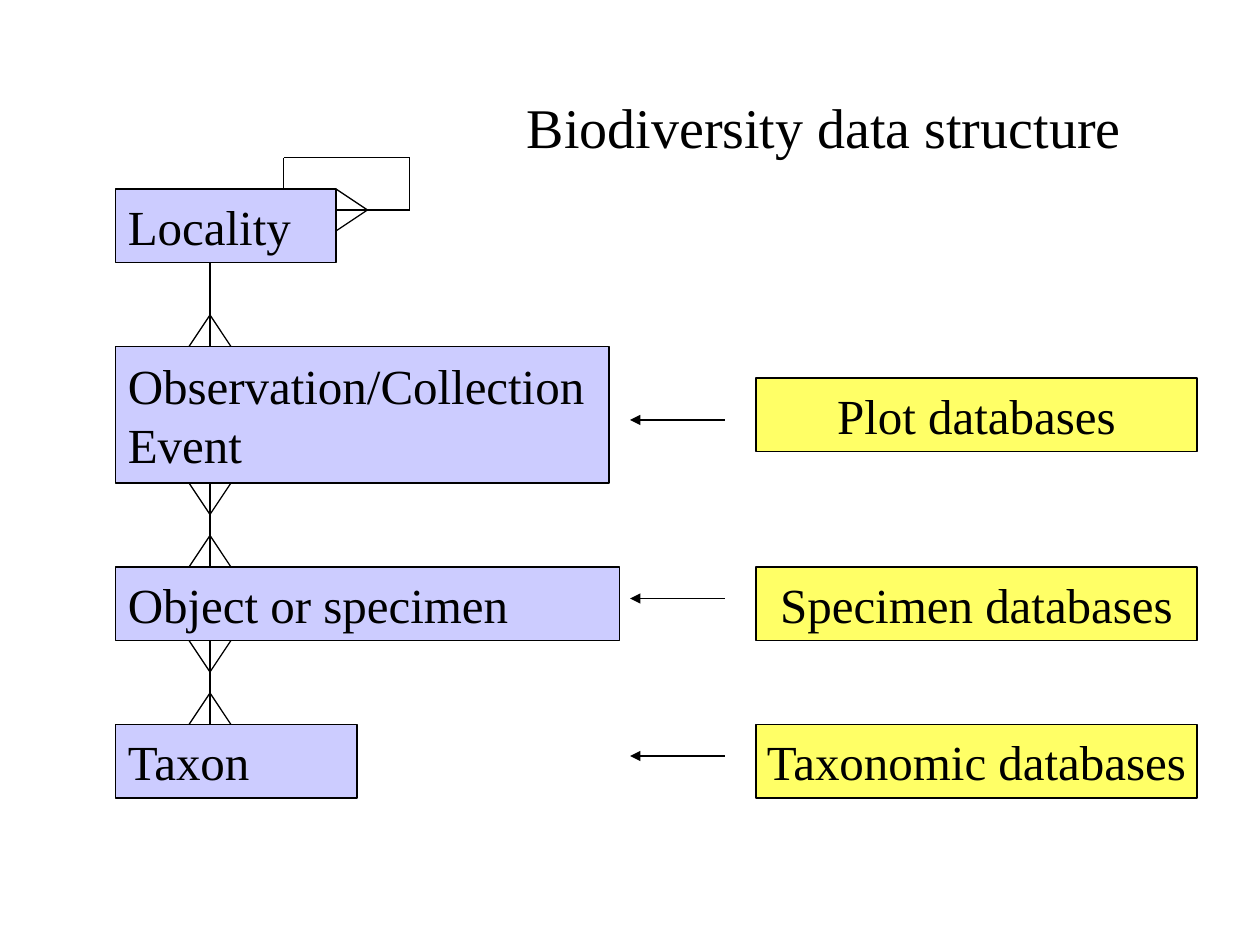
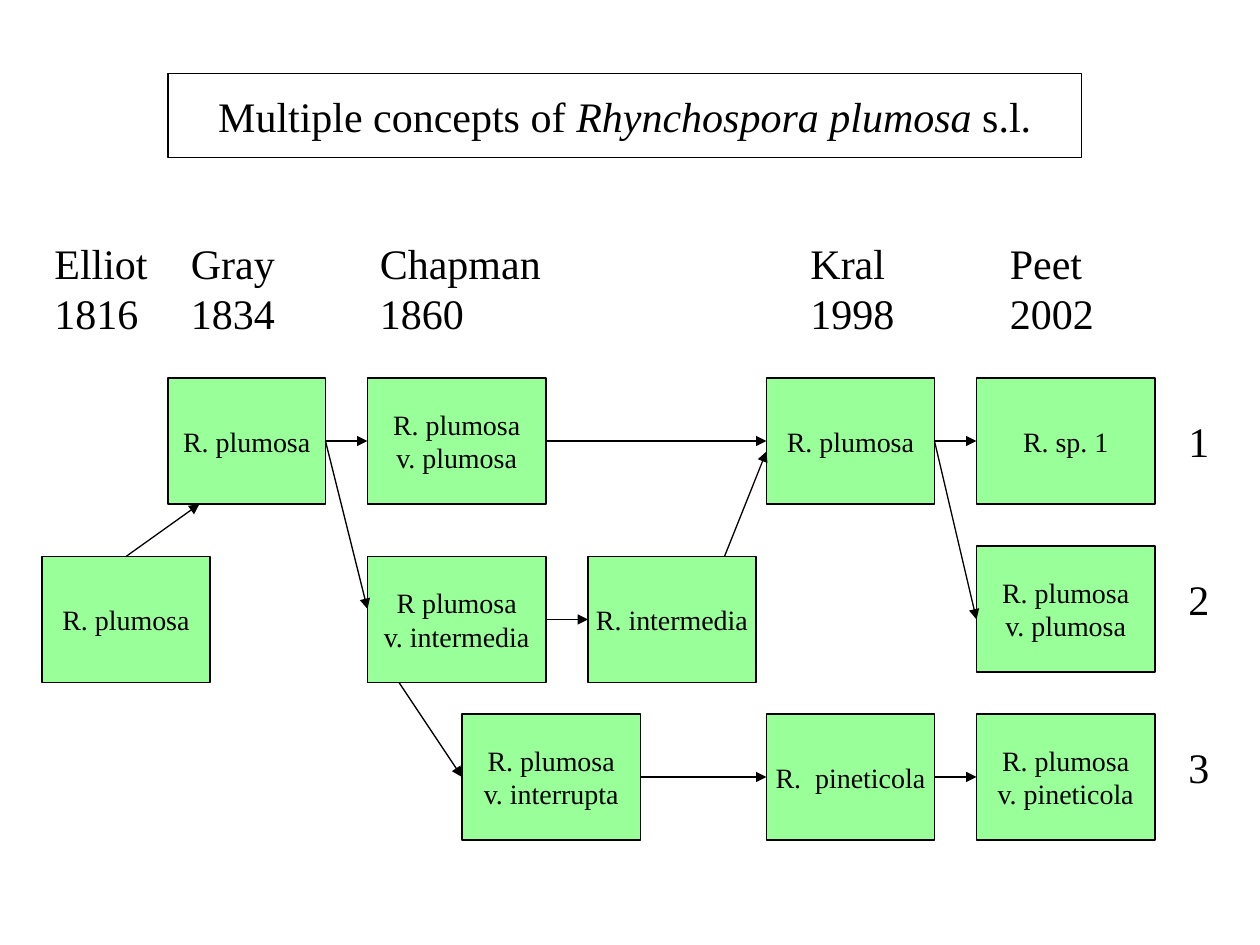
from itertools import pairwise

from lxml.etree import SubElement
from pptx import Presentation
from pptx.dml.color import RGBColor
from pptx.enum.shapes import MSO_CONNECTOR as CONNECTOR, MSO_SHAPE as SHAPE
from pptx.enum.text import MSO_ANCHOR as ANCHOR, MSO_AUTO_SIZE as AUTO_SIZE, PP_ALIGN as ALIGN
from pptx.oxml.ns import qn
from pptx.util import Pt

COLORS = {
    "ink": "000000",
    "entity": "CCCCFF",
    "database": "FFFF66",
    "concept": "99FF99",
}
FONT = "Times New Roman"
LINE_WIDTH = Pt(0.75)
INK = RGBColor.from_string(COLORS["ink"])


def add_box(slide, bounds, lines, size, fill=None, align=ALIGN.CENTER):
    """Add a filled, outlined rectangle, or a growing text box without a fill."""
    bounds = [Pt(length) for length in bounds]
    if fill:
        shape = slide.shapes.add_shape(SHAPE.RECTANGLE, *bounds)
        shape.shadow.inherit = False
        shape.fill.solid()
        shape.fill.fore_color.rgb = RGBColor.from_string(COLORS[fill])
        shape.line.color.rgb = INK
        shape.line.width = LINE_WIDTH
    else:
        shape = slide.shapes.add_textbox(*bounds)
        shape.text_frame.auto_size = AUTO_SIZE.SHAPE_TO_FIT_TEXT
    frame = shape.text_frame
    frame.word_wrap = False
    frame.vertical_anchor = ANCHOR.MIDDLE if fill else ANCHOR.TOP
    for index, line in enumerate(lines):
        paragraph = frame.add_paragraph() if index else frame.paragraphs[0]
        paragraph.alignment = align
        run = paragraph.add_run()
        run.text = line
        run.font.name = FONT
        run.font.size = Pt(size)
        run.font.color.rgb = INK
    return shape


def add_line(slide, start, end, arrow=False):
    """Add a thin straight line, with an arrowhead at its end if wanted."""
    points = [Pt(length) for length in (*start, *end)]
    connector = slide.shapes.add_connector(CONNECTOR.STRAIGHT, *points)
    connector.line.color.rgb = INK
    connector.line.width = LINE_WIDTH
    if arrow:
        SubElement(connector.line._get_or_add_ln(), qn("a:tailEnd"), type="triangle")
    SubElement(connector._element.spPr, qn("a:effectLst"))


presentation = Presentation()
presentation.slide_width = Pt(720)
presentation.slide_height = Pt(540)

# Slides and their titles: bounds, text size, outline, runs (text, italic)
titles = [
    ((300, 48, 342, 48), 32, False, [("Biodiversity data structure", False)]),
    ((96, 42, 522, 48), 24, True, [
        ("Multiple concepts of", False),
        (" Rhynchospora plumosa", True),
        (" s.l.", False),
    ]),
]
for bounds, size, outlined, runs in titles:
    slide = presentation.slides.add_slide(presentation.slide_layouts[5])
    title = slide.shapes.title
    title.left, title.top, title.width, title.height = [Pt(length) for length in bounds]
    if outlined:
        title.line.color.rgb = INK
        title.line.width = LINE_WIDTH
    frame = title.text_frame
    frame.word_wrap = False
    frame.auto_size = AUTO_SIZE.NONE
    frame.margin_left = frame.margin_right = 0
    frame.vertical_anchor = ANCHOR.MIDDLE
    paragraph = frame.paragraphs[0]
    paragraph.alignment = ALIGN.CENTER
    for text, italic in runs:
        run = paragraph.add_run()
        run.text = text
        run.font.name = FONT
        run.font.size = Pt(size)
        run.font.italic = italic
        run.font.color.rgb = INK
structure_slide, concepts_slide = presentation.slides

# Slide 1: entities, from top to bottom
entities = [
    (108, 126, 42, ["Locality"]),
    (198, 282, 78, ["Observation/Collection", "Event"]),
    (324, 288, 42, ["Object or specimen"]),
    (414, 138, 42, ["Taxon"]),
]
for top, width, height, lines in entities:
    add_box(structure_slide, (66, top, width, height), lines, 28, "entity", ALIGN.LEFT)

# Relations between neighbouring entities, with crow's feet on the "many" sides
relation_x, foot_length, foot_spread = 120, 18, 12
for index, (upper, lower) in enumerate(pairwise(entities)):
    start, end = upper[0] + upper[2], lower[0]
    add_line(structure_slide, (relation_x, start), (relation_x, end))
    feet = [(end - foot_length, end)]
    if index:
        feet.append((start + foot_length, start))
    for tip, edge in feet:
        for side in (-foot_spread, foot_spread):
            add_line(structure_slide, (relation_x, tip), (relation_x + side, edge))

# Relation of Locality to itself
self_loop = [(162, 108), (162, 90), (234, 90), (234, 120), (192, 120)]
self_foot = [(192, 108), (210, 120), (192, 132)]
for outline in (self_loop, self_foot):
    for start, end in pairwise(outline):
        add_line(structure_slide, start, end)

# Databases and the entities they feed
databases = [
    ("Plot databases", 216, 240),
    ("Specimen databases", 324, 342),
    ("Taxonomic databases", 414, 432),
]
for name, top, arrow_y in databases:
    add_box(structure_slide, (432, top, 252, 42), [name], 28, "database")
    add_line(structure_slide, (414, arrow_y), (360, arrow_y), arrow=True)

# Slide 2: taxon concepts (left, top, width, lines)
concepts = [
    (24, 318, 96, ["R. plumosa"]),
    (96, 216, 90, ["R. plumosa"]),
    (210, 216, 102, ["R. plumosa", "v. plumosa"]),
    (210, 318, 102, ["R plumosa", "v. intermedia"]),
    (264, 408, 102, ["R. plumosa", "v. interrupta"]),
    (336, 318, 96, ["R. intermedia"]),
    (438, 216, 96, ["R. plumosa"]),
    (438, 408, 96, ["R.  pineticola"]),
    (558, 216, 102, ["R. sp. 1"]),
    (558, 312, 102, ["R. plumosa", "v. plumosa"]),
    (558, 408, 102, ["R. plumosa", "v. pineticola"]),
]
for left, top, width, lines in concepts:
    add_box(concepts_slide, (left, top, width, 72), lines, 16, "concept")

# Authors and years
authors = [
    (24, 73.5, ["Elliot 1816"]),
    (102, 68, ["Gray", "1834"]),
    (210, 106.5, ["Chapman", "1860"]),
    (456, 63, ["Kral", "1998"]),
    (570, 63, ["Peet", "2002"]),
]
for left, width, lines in authors:
    author = add_box(concepts_slide, (left, 132, width, 65), lines, 24, align=ALIGN.LEFT)
    author.text_frame.word_wrap = len(lines) == 1

# Descent of the concepts
descents = [
    ((72, 318), (114, 288)),
    ((186, 252), (210, 252)),
    ((186, 252), (210, 348)),
    ((312, 252), (438, 252)),
    ((312, 354), (336, 354)),
    ((228, 390), (264, 444)),
    ((366, 444), (438, 444)),
    ((414, 318), (438, 258)),
    ((534, 252), (558, 252)),
    ((534, 252), (558, 354)),
    ((534, 444), (558, 444)),
]
for start, end in descents:
    add_line(concepts_slide, start, end, arrow=True)

# Numbers of the resulting taxa
for number, top in enumerate((234, 324, 420), start=1):
    add_box(concepts_slide, (672, top, 26.4, 36), [str(number)], 24, align=ALIGN.LEFT)

presentation.save("out.pptx")
